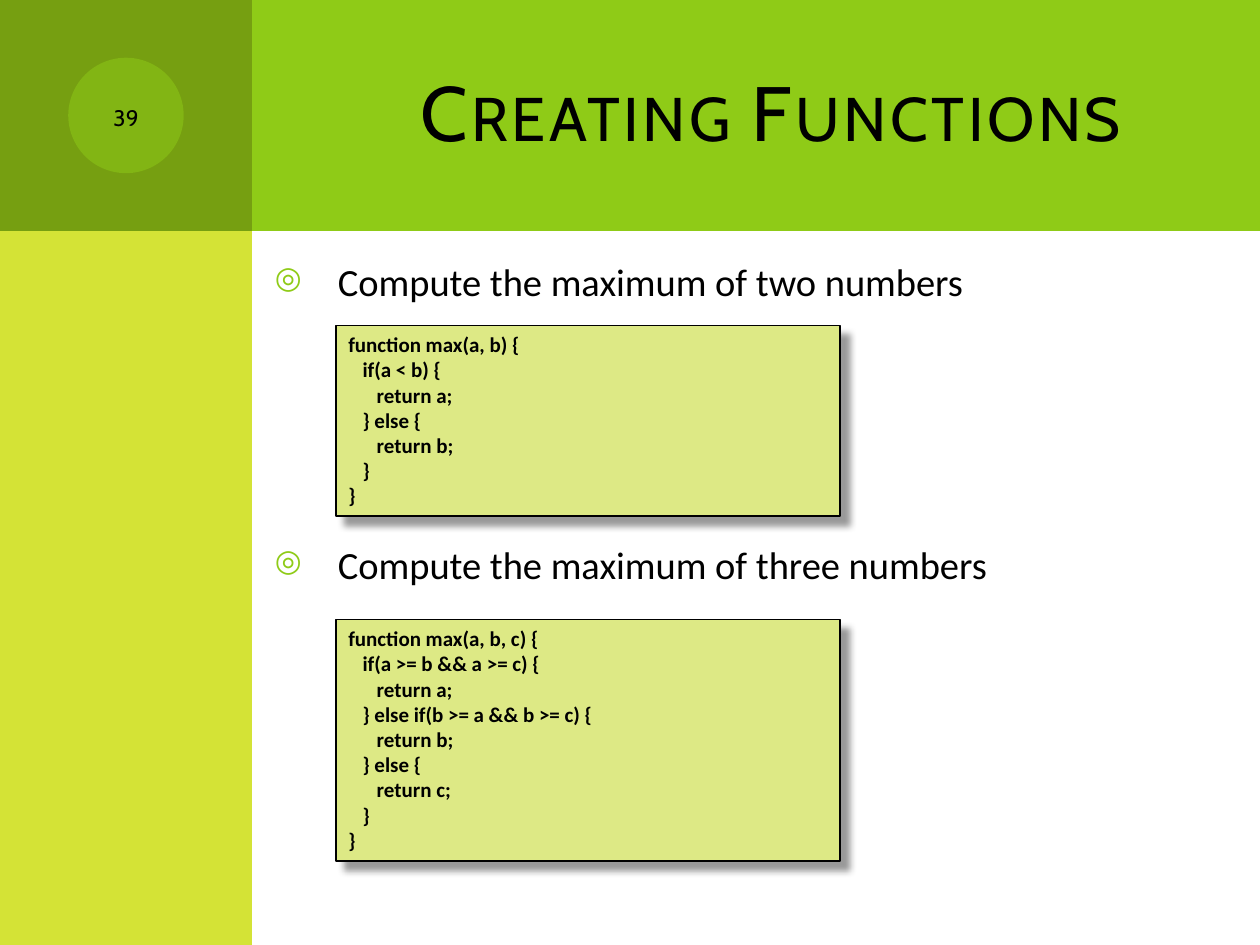
from dataclasses import dataclass

from lxml import etree
from pptx import Presentation
from pptx.dml.color import RGBColor
from pptx.enum.shapes import MSO_SHAPE
from pptx.enum.text import MSO_ANCHOR, PP_ALIGN
from pptx.oxml.ns import qn
from pptx.util import Pt

RECTANGLE, OVAL = MSO_SHAPE.RECTANGLE, MSO_SHAPE.OVAL
LEFT, CENTER, RIGHT = PP_ALIGN.LEFT, PP_ALIGN.CENTER, PP_ALIGN.RIGHT
TOP, MIDDLE = MSO_ANCHOR.TOP, MSO_ANCHOR.MIDDLE

TITLE = "Creating Functions"
SLIDE_NUMBER = "39"
BULLETS = ["Compute the maximum of two numbers", "Compute the maximum of three numbers"]
# Each code line is (indent level, text).
MAX_OF_TWO = [
    (0, "function max(a, b) {"),
    (1, "if(a < b) {"),
    (2, "return a;"),
    (1, "} else {"),
    (2, "return b;"),
    (1, "}"),
    (0, "}"),
]
MAX_OF_THREE = [
    (0, "function max(a, b, c) {"),
    (1, "if(a >= b && a >= c) {"),
    (2, "return a;"),
    (1, "} else if(b >= a && b >= c) {"),
    (2, "return b;"),
    (1, "} else {"),
    (2, "return c;"),
    (1, "}"),
    (0, "}"),
]


@dataclass(frozen=True)
class Theme:
    green: str = "8FCB17"
    dark_green: str = "769F11"
    lime: str = "D4E336"
    code_fill: str = "DDE985"
    black: str = "000000"
    heading_font: str = "Cabin"
    body_font: str = "Calibri"
    title_size: float = 44
    body_size: float = 22
    number_size: float = 16
    code_size: float = 12


THEME = Theme()
SLIDE_WIDTH, SLIDE_HEIGHT = 720, 540
SIDEBAR_WIDTH, HEADER_HEIGHT = 144, 132
HEADER_LEFT = 36
BADGE_SIZE = 66
CODE_LEFT, CODE_WIDTH, CODE_INDENT = 192, 288, 8.1
CODE_BOXES = [(186, 109, MAX_OF_TWO), (354, 138, MAX_OF_THREE)]
BULLET_INDENT = 36
BULLET_SPACING = [6, 135.4]


def add_element(parent, tag, **attributes):
    return etree.SubElement(parent, qn(tag), {key: str(value) for key, value in attributes.items()})


def add_panel(slide, kind, left, top, width, height, color, alpha=None):
    shape = slide.shapes.add_shape(kind, Pt(left), Pt(top), Pt(width), Pt(height))
    shape.shadow.inherit = False
    shape.fill.solid()
    shape.fill.fore_color.rgb = RGBColor.from_string(color)
    shape.line.fill.background()
    if alpha is not None:
        add_element(shape.fill._xPr.find(".//" + qn("a:srgbClr")), "a:alpha", val=alpha * 1000)
    return shape


def add_text_box(slide, left, top, width, height):
    return slide.shapes.add_textbox(Pt(left), Pt(top), Pt(width), Pt(height))


def write_text(shape, lines, *, size, font=THEME.body_font, bold=False, align=LEFT,
               anchor=TOP, small_caps=False, letter_spacing=0):
    """Fill a shape with one paragraph per line and return the paragraphs."""
    frame = shape.text_frame
    frame.word_wrap = True
    frame.vertical_anchor = anchor
    paragraphs = []
    for index, line in enumerate(lines):
        paragraph = frame.add_paragraph() if index else frame.paragraphs[0]
        paragraph.alignment = align
        run = paragraph.add_run()
        run.text = line
        run.font.size = Pt(size)
        run.font.name = font
        run.font.bold = bold
        run.font.color.rgb = RGBColor.from_string(THEME.black)
        properties = run._r.get_or_add_rPr()
        if small_caps:
            properties.set("cap", "small")
        if letter_spacing:
            properties.set("spc", str(letter_spacing * 100))
        paragraphs.append(paragraph)
    return paragraphs


def set_indent(paragraph, margin, first_line=0):
    properties = paragraph._p.get_or_add_pPr()
    properties.set("marL", str(Pt(margin)))
    properties.set("indent", str(Pt(first_line)))
    return properties


def add_bullet(paragraph):
    properties = set_indent(paragraph, BULLET_INDENT, -BULLET_INDENT)
    add_element(add_element(properties, "a:buClr"), "a:srgbClr", val=THEME.green)
    add_element(properties, "a:buSzPct", val=80000)
    add_element(properties, "a:buChar", char="◎")


def add_drop_shadow(shape):
    effects = shape._element.spPr.find(qn("a:effectLst"))
    shadow = add_element(effects, "a:outerShdw", blurRad=Pt(4), dist=Pt(7),
                         dir=45 * 60000, algn="tl", rotWithShape=0)
    color = add_element(shadow, "a:srgbClr", val=THEME.black)
    add_element(color, "a:alpha", val=40000)


def add_code_box(slide, top, height, code):
    box = add_panel(slide, RECTANGLE, CODE_LEFT, top, CODE_WIDTH, height, THEME.code_fill)
    box.line.color.rgb = RGBColor.from_string(THEME.black)
    box.line.width = Pt(1)
    add_drop_shadow(box)
    paragraphs = write_text(box, [text for _, text in code], size=THEME.code_size, bold=True)
    for paragraph, (level, _) in zip(paragraphs, code):
        set_indent(paragraph, level * CODE_INDENT)


def main():
    presentation = Presentation()
    presentation.slide_width, presentation.slide_height = Pt(SLIDE_WIDTH), Pt(SLIDE_HEIGHT)
    slide = presentation.slides.add_slide(presentation.slide_layouts[6])

    add_panel(slide, RECTANGLE, HEADER_LEFT, 0, SLIDE_WIDTH - HEADER_LEFT, HEADER_HEIGHT, THEME.green)
    add_panel(slide, RECTANGLE, 0, 0, SIDEBAR_WIDTH, SLIDE_HEIGHT, THEME.lime)
    add_panel(slide, RECTANGLE, 0, 0, SIDEBAR_WIDTH, HEADER_HEIGHT, THEME.dark_green)
    add_panel(slide, OVAL, (SIDEBAR_WIDTH - BADGE_SIZE) / 2, (HEADER_HEIGHT - BADGE_SIZE) / 2,
              BADGE_SIZE, BADGE_SIZE, THEME.green, alpha=50)

    write_text(add_text_box(slide, 192, 18, 492, 90), [TITLE], size=THEME.title_size,
               font=THEME.heading_font, align=RIGHT, anchor=MIDDLE, small_caps=True, letter_spacing=2)
    write_text(add_text_box(slide, 42, 42, 60, 48), [SLIDE_NUMBER], size=THEME.number_size,
               font=THEME.heading_font, align=CENTER, anchor=MIDDLE, small_caps=True)

    body = add_text_box(slide, 150, 144, 558, 342)
    bullets = write_text(body, BULLETS, size=THEME.body_size)
    for paragraph, spacing in zip(bullets, BULLET_SPACING):
        paragraph.space_before = Pt(spacing)
        add_bullet(paragraph)

    for top, height, code in CODE_BOXES:
        add_code_box(slide, top, height, code)

    presentation.save("out.pptx")


if __name__ == "__main__":
    main()
